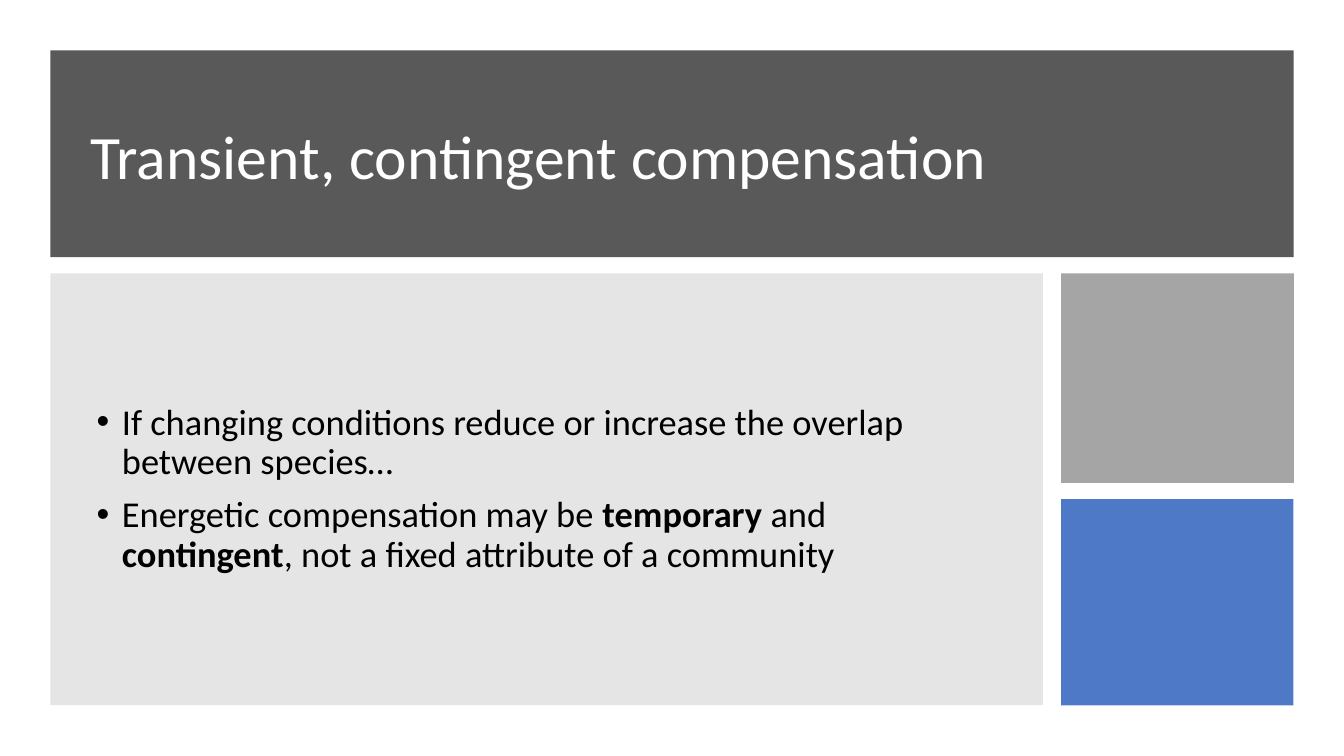
from dataclasses import dataclass

from lxml import etree
from pptx import Presentation
from pptx.dml.color import RGBColor
from pptx.enum.shapes import MSO_SHAPE
from pptx.enum.text import MSO_ANCHOR
from pptx.oxml.ns import qn
from pptx.util import Pt

RECT = MSO_SHAPE.RECTANGLE
MIDDLE = MSO_ANCHOR.MIDDLE


@dataclass(frozen=True)
class Theme:
    font: str = "Calibri"
    title_size: float = 44
    body_size: float = 26
    line_spacing: float = 0.9
    paragraph_gap: float = 10
    indent: float = 18
    band: str = "595959"
    panel: str = "808080"
    gray: str = "A5A5A5"
    blue: str = "4472C4"
    light: str = "FFFFFF"
    dark: str = "000000"


THEME = Theme()

TITLE = "Transient, contingent compensation"
# Each bullet is a list of (text, bold) runs.
BULLETS = [
    [("If changing conditions reduce or increase the overlap between species…", False)],
    [
        ("Energetic compensation may be ", False),
        ("temporary ", True),
        ("and ", False),
        ("contingent", True),
        (", not a fixed attribute of a community", False),
    ],
]


def add_block(slide, left, top, width, height, color, opacity=100):
    """Add a borderless rectangle; opacity is in percent."""
    sp = slide.shapes.add_shape(RECT, Pt(left), Pt(top), Pt(width), Pt(height))
    sp.shadow.inherit = False
    sp.line.fill.background()
    sp.fill.solid()
    sp.fill.fore_color.rgb = RGBColor.from_string(color)
    if opacity < 100:
        clr = sp.fill._xPr.find(qn("a:solidFill")).find(qn("a:srgbClr"))
        etree.SubElement(clr, qn("a:alpha"), val=str(opacity * 1000))


def add_bullet(p):
    pPr = p._p.get_or_add_pPr()
    pPr.set("marL", str(Pt(THEME.indent)))
    pPr.set("indent", str(-Pt(THEME.indent)))
    etree.SubElement(pPr, qn("a:buFont"), typeface="Arial")
    etree.SubElement(pPr, qn("a:buChar"), char="•")


def add_text(slide, left, top, width, height, paragraphs, *, size, color, bullets=False):
    box = slide.shapes.add_textbox(Pt(left), Pt(top), Pt(width), Pt(height))
    tf = box.text_frame
    tf.word_wrap = True
    tf.vertical_anchor = MIDDLE
    for i, runs in enumerate(paragraphs):
        p = tf.add_paragraph() if i else tf.paragraphs[0]
        if bullets:
            add_bullet(p)
        p.line_spacing = THEME.line_spacing
        p.space_before = Pt(THEME.paragraph_gap if i else 0)
        for text, bold in runs:
            r = p.add_run()
            r.text = text
            r.font.name = THEME.font
            r.font.size = Pt(size)
            r.font.bold = bold
            r.font.color.rgb = RGBColor.from_string(color)


def main():
    prs = Presentation()
    prs.slide_width, prs.slide_height = Pt(960), Pt(540)
    slide = prs.slides.add_slide(prs.slide_layouts[6])

    add_block(slide, 36, 36, 888, 147.6, THEME.band)
    add_text(slide, 57.6, 57.6, 839.5, 112.3, [[(TITLE, False)]],
             size=THEME.title_size, color=THEME.light)

    add_block(slide, 36, 195.3, 709, 308.4, THEME.panel, opacity=20)
    add_text(slide, 62, 219.6, 658.8, 260, BULLETS,
             size=THEME.body_size, color=THEME.dark, bullets=True)

    add_block(slide, 758, 195.3, 166.3, 149.6, THEME.gray)
    add_block(slide, 758, 356.6, 165.8, 147.2, THEME.blue, opacity=95)

    prs.save("out.pptx")


if __name__ == "__main__":
    main()
